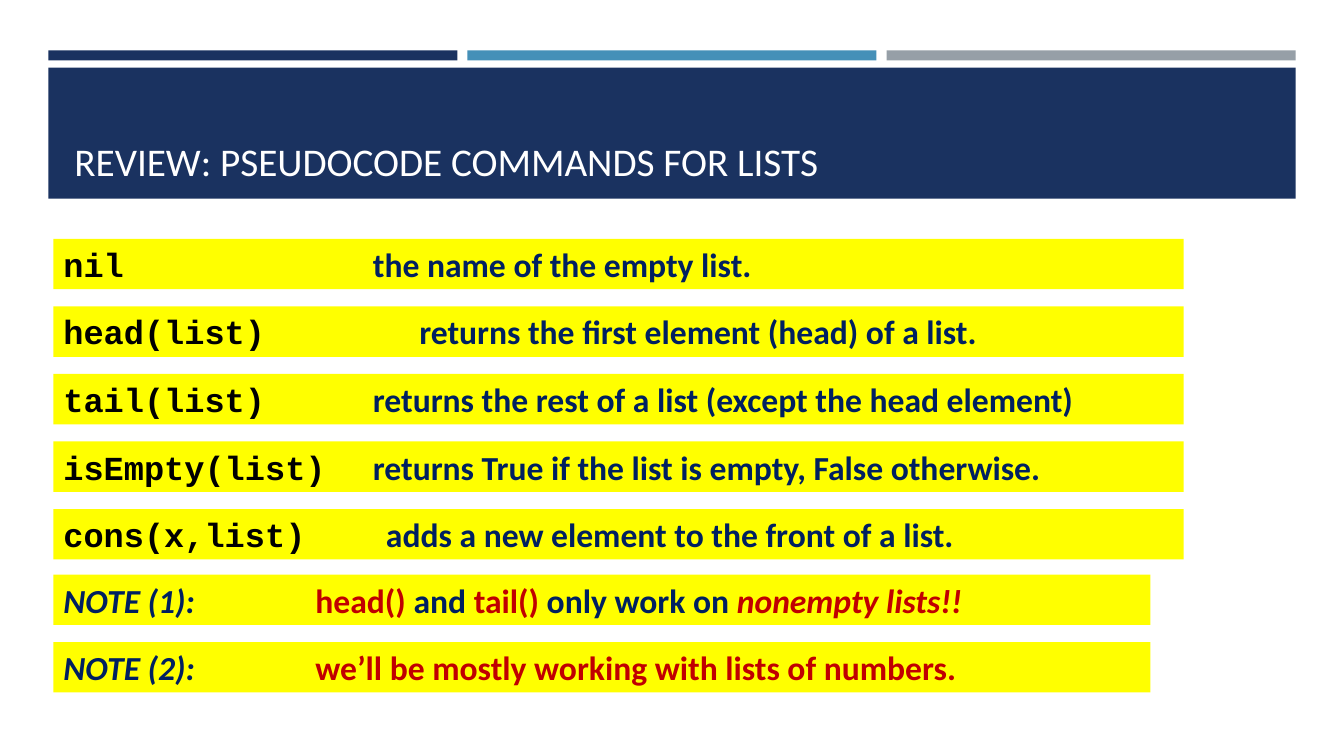
from lxml import etree
from pptx import Presentation
from pptx.dml.color import RGBColor
from pptx.enum.shapes import MSO_SHAPE
from pptx.enum.text import MSO_ANCHOR, PP_ALIGN
from pptx.oxml.ns import qn
from pptx.util import Inches, Pt

RECTANGLE = MSO_SHAPE.RECTANGLE
BOTTOM, TOP = MSO_ANCHOR.BOTTOM, MSO_ANCHOR.TOP
LEFT = PP_ALIGN.LEFT

NAVY = RGBColor(0x1A, 0x32, 0x60)
BLUE = RGBColor(0x45, 0x90, 0xB8)
GRAY = RGBColor(0x96, 0x9F, 0xA7)
WHITE = RGBColor(0xFF, 0xFF, 0xFF)
YELLOW = RGBColor(0xFF, 0xFF, 0x00)
BLACK = RGBColor(0x00, 0x00, 0x00)
INK = RGBColor(0x00, 0x20, 0x60)
RED = RGBColor(0xC0, 0x00, 0x00)

BODY_FONT = "Calibri"
CODE_FONT = "Courier New"

COMMANDS = [
    ("nil", "the name of the empty list.", 3.07),
    ("head(list)", "returns the first element (head) of a list.", 3.53),
    ("tail(list)", "returns the rest of a list (except the head element)", 3.07),
    ("isEmpty(list)", "returns True if the list is empty, False otherwise.", 3.07),
    ("cons(x,list)", "adds a new element to the front of a list.", 3.2),
]
NOTES = [
    ("NOTE (1):", [
        ("head()", RED, False),
        (" and ", INK, False),
        ("tail() ", RED, False),
        ("only work on ", INK, False),
        ("nonempty lists!!", RED, True),
    ]),
    ("NOTE (2):", [
        ("we’ll be mostly working with lists of numbers.", RED, False),
    ]),
]
NOTE_TAB = 2.5
ROW_HEIGHT = 0.5
ROW_PITCH = 0.67


def add_bar(slide, left, top, width, height, color):
    shape = slide.shapes.add_shape(
        RECTANGLE, Inches(left), Inches(top), Inches(width), Inches(height))
    shape.shadow.inherit = False
    shape.fill.solid()
    shape.fill.fore_color.rgb = color
    shape.line.fill.background()
    return shape


def add_header(slide, left, top, width, title):
    gap = 0.1
    bar_width = (width - 2 * gap) / 3
    for index, color in enumerate((NAVY, BLUE, GRAY)):
        add_bar(slide, left + index * (bar_width + gap), top, bar_width, 0.1, color)
    add_bar(slide, left, top + 0.17, width, 1.3, NAVY)
    box = slide.shapes.add_textbox(
        Inches(left + 0.16), Inches(top + 0.27), Inches(width - 0.31), Inches(1.11))
    frame = box.text_frame
    frame.word_wrap = True
    frame.vertical_anchor = BOTTOM
    paragraph = frame.paragraphs[0]
    paragraph.text = title
    paragraph.font.size = Pt(28)
    paragraph.font.name = BODY_FONT
    paragraph.font.color.rgb = WHITE


def set_tab_stop(paragraph, position):
    properties = paragraph._p.get_or_add_pPr()
    tab_list = etree.Element(qn("a:tabLst"))
    etree.SubElement(tab_list, qn("a:tab"), pos=str(Inches(position)), algn="l")
    properties.insert(0, tab_list)


def add_row(slide, left, top, width, tab, runs):
    shape = add_bar(slide, left, top, width, ROW_HEIGHT, YELLOW)
    frame = shape.text_frame
    frame.word_wrap = True
    frame.vertical_anchor = TOP
    paragraph = frame.paragraphs[0]
    paragraph.alignment = LEFT
    paragraph.font.size = Pt(24)
    paragraph.font.bold = True
    set_tab_stop(paragraph, tab)
    for text, font_name, color, italic in runs:
        run = paragraph.add_run()
        run.text = text
        run.font.name = font_name
        run.font.color.rgb = color
        run.font.italic = italic


def add_commands(slide, left, top, width):
    for index, (command, meaning, tab) in enumerate(COMMANDS):
        runs = [(command + "\t", CODE_FONT, BLACK, False),
                (meaning, BODY_FONT, INK, False)]
        add_row(slide, left, top + index * ROW_PITCH, width, tab, runs)


def add_notes(slide, left, top, width):
    for index, (label, parts) in enumerate(NOTES):
        runs = [(label + "\t", BODY_FONT, INK, True)]
        runs += [(text, BODY_FONT, color, italic) for text, color, italic in parts]
        add_row(slide, left, top + index * ROW_PITCH, width, NOTE_TAB, runs)


def main():
    presentation = Presentation()
    presentation.slide_width = Inches(13.33)
    presentation.slide_height = Inches(7.5)
    slide = presentation.slides.add_slide(presentation.slide_layouts[6])
    add_header(slide, 0.48, 0.5, 12.37, "REVIEW: PSEUDOCODE COMMANDS FOR LISTS")
    add_commands(slide, 0.53, 2.37, 11.21)
    add_notes(slide, 0.53, 5.7, 10.88)
    presentation.save("out.pptx")


if __name__ == "__main__":
    main()
